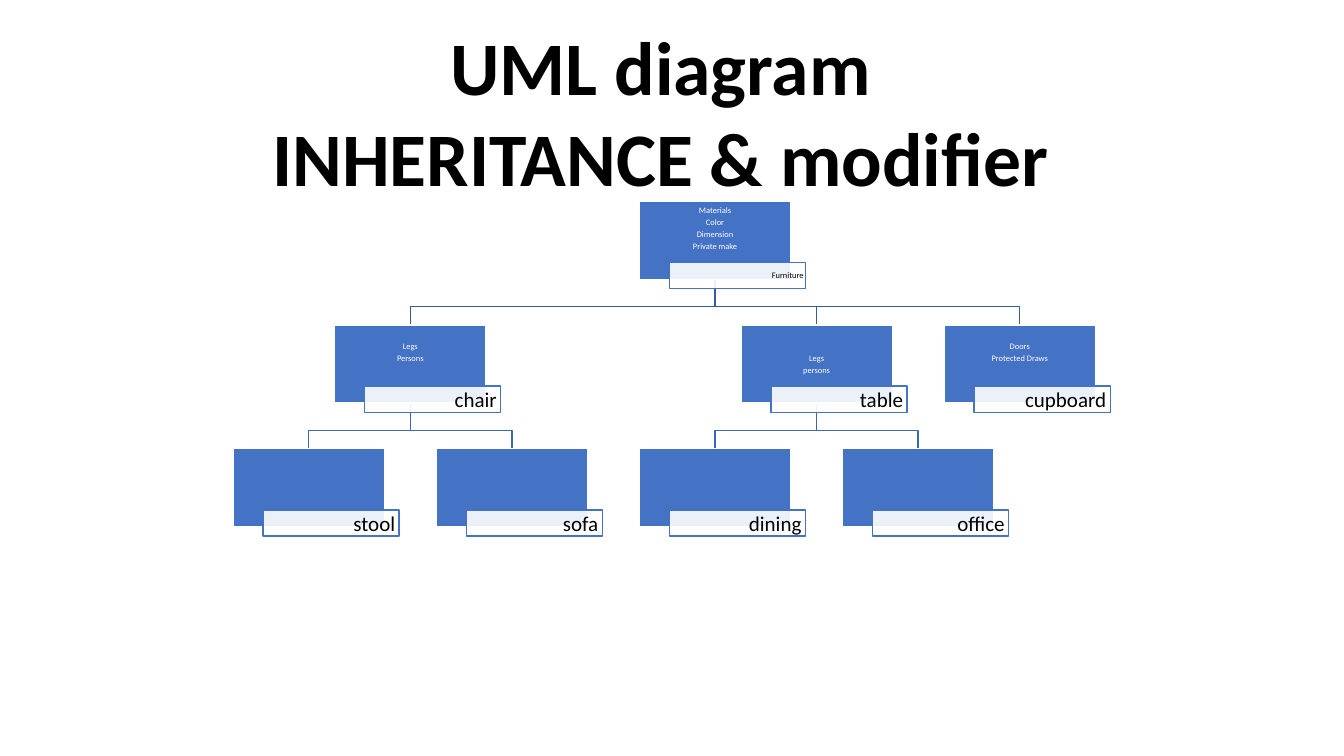
from dataclasses import dataclass

from lxml import etree
from pptx import Presentation
from pptx.dml.color import RGBColor
from pptx.enum.shapes import MSO_SHAPE
from pptx.enum.text import MSO_ANCHOR, MSO_AUTO_SIZE, PP_ALIGN
from pptx.oxml.ns import qn
from pptx.util import Cm, Pt

RECTANGLE = MSO_SHAPE.RECTANGLE
MIDDLE = MSO_ANCHOR.MIDDLE
GROW = MSO_AUTO_SIZE.SHAPE_TO_FIT_TEXT
CENTER, RIGHT = PP_ALIGN.CENTER, PP_ALIGN.RIGHT

BLUE, WHITE, BLACK = "4472C4", "FFFFFF", "000000"
LINK_COLORS = ["365B9D", "3E67B2"]  # by level of the parent class

# Class grid, in centimetres
GRID_LEFT, GRID_TOP = 5.87, 5.07
COLUMN_STEP, LEVEL_STEP = 5.12, 3.12
BOX_WIDTH, BOX_HEIGHT = 3.82, 1.97
LABEL_DX, LABEL_DY = 0.76, 1.54
LABEL_WIDTH, LABEL_HEIGHT = 3.43, 0.66
LINK_DROP = 0.69


def rgb(color):
    """Turn a hex string into a colour."""
    return RGBColor.from_string(color)


@dataclass
class UmlClass:
    """One class of the diagram and its place in the grid."""

    name: str
    column: float
    level: int
    parent: str = ""
    attributes: str = ""
    label_size: float = 15
    insets: tuple = (0, 0.58)  # above and below the attributes

    @property
    def left(self):
        """Left edge of the class box."""
        return GRID_LEFT + self.column * COLUMN_STEP

    @property
    def top(self):
        """Top edge of the class box."""
        return GRID_TOP + self.level * LEVEL_STEP

    @property
    def center(self):
        """Horizontal middle of the class box."""
        return self.left + BOX_WIDTH / 2


class Diagram:
    """Holds the style and the current slide."""

    font = "Calibri"
    line_width = Pt(1)

    def __init__(self, slide):
        """Draw on the given slide."""
        self.shapes = slide.shapes

    def set_text(self, shape, text, size, color, align, bold=False, after=0):
        """Put styled text into a shape."""
        shape.text_frame.text = text
        for paragraph in shape.text_frame.paragraphs:
            paragraph.alignment = align
            if after:
                paragraph.line_spacing = 0.9
                paragraph.space_after = Pt(after)
            for run in paragraph.runs:
                run.font.name = self.font
                run.font.size = Pt(size)
                run.font.bold = bold
                run.font.color.rgb = rgb(color)

    def rectangle(self, left, top, width, height, fill, line, insets, opacity=100):
        """Add a rectangle; insets run left, top, right, bottom."""
        box = self.shapes.add_shape(RECTANGLE, Cm(left), Cm(top), Cm(width), Cm(height))
        box.shadow.inherit = False
        box.fill.solid()
        box.fill.fore_color.rgb = rgb(fill)
        if opacity < 100:
            fill_color = box.element.spPr.find(qn("a:solidFill"))[0]
            etree.SubElement(fill_color, qn("a:alpha"), val=str(opacity * 1000))
        box.line.color.rgb = rgb(line)
        box.line.width = self.line_width
        frame = box.text_frame
        frame.word_wrap = True
        frame.vertical_anchor = MIDDLE
        (frame.margin_left, frame.margin_top,
         frame.margin_right, frame.margin_bottom) = map(Cm, insets)
        return box

    def link(self, parent, child):
        """Join a parent class to a child with a stepped line."""
        start = parent.top + BOX_HEIGHT
        bend = start + LINK_DROP
        outline = self.shapes.build_freeform(Cm(parent.center), Cm(start))
        corners = [(parent.center, bend), (child.center, bend), (child.center, child.top)]
        outline.add_line_segments([(Cm(x), Cm(y)) for x, y in corners], close=False)
        step = outline.convert_to_shape()
        step.shadow.inherit = False
        step.fill.background()
        step.line.color.rgb = rgb(LINK_COLORS[parent.level])
        step.line.width = self.line_width

    def uml_class(self, item):
        """Add a class box with its attributes and its name label."""
        above, below = item.insets
        box = self.rectangle(item.left, item.top, BOX_WIDTH, BOX_HEIGHT,
                             BLUE, WHITE, (0, above, 0, below))
        if item.attributes:
            self.set_text(box, item.attributes, 6, WHITE, CENTER, after=2.1)
        side = 0.1 if item.label_size > 10 else 0.05
        label = self.rectangle(item.left + LABEL_DX, item.top + LABEL_DY,
                               LABEL_WIDTH, LABEL_HEIGHT, WHITE, BLUE,
                               (side, 0.02, side, 0.02), opacity=90)
        self.set_text(label, item.name, item.label_size, BLACK, RIGHT)

    def title(self, text, left, top, width, height):
        """Add the slide title."""
        heading = self.shapes.add_textbox(Cm(left), Cm(top), Cm(width), Cm(height))
        heading.text_frame.word_wrap = False
        heading.text_frame.auto_size = GROW
        self.set_text(heading, text, 54, BLACK, CENTER, bold=True)


CLASSES = [
    UmlClass("Furniture", 2, 0, attributes="Materials\nColor\nDimension\nPrivate make",
             label_size=6),
    UmlClass("chair", 0.5, 1, "Furniture", "Legs\nPersons"),
    UmlClass("stool", 0, 2, "chair"),
    UmlClass("sofa", 1, 2, "chair"),
    UmlClass("table", 2.5, 1, "Furniture", "Legs\npersons", insets=(0.3, 0.28)),
    UmlClass("dining", 2, 2, "table"),
    UmlClass("office", 3, 2, "table"),
    UmlClass("cupboard", 3.5, 1, "Furniture", "Doors\nProtected Draws"),
]

presentation = Presentation()
presentation.slide_width = Cm(33.87)
presentation.slide_height = Cm(19.05)
blank_layout = presentation.slide_layouts[6]
diagram = Diagram(presentation.slides.add_slide(blank_layout))

by_name = {item.name: item for item in CLASSES}
for item in CLASSES:
    if item.parent:
        diagram.link(by_name[item.parent], item)
for item in CLASSES:
    diagram.uml_class(item)
diagram.title("UML diagram\nINHERITANCE & modifier", 6.5, 0.38, 20.3, 4.88)

presentation.save("out.pptx")
